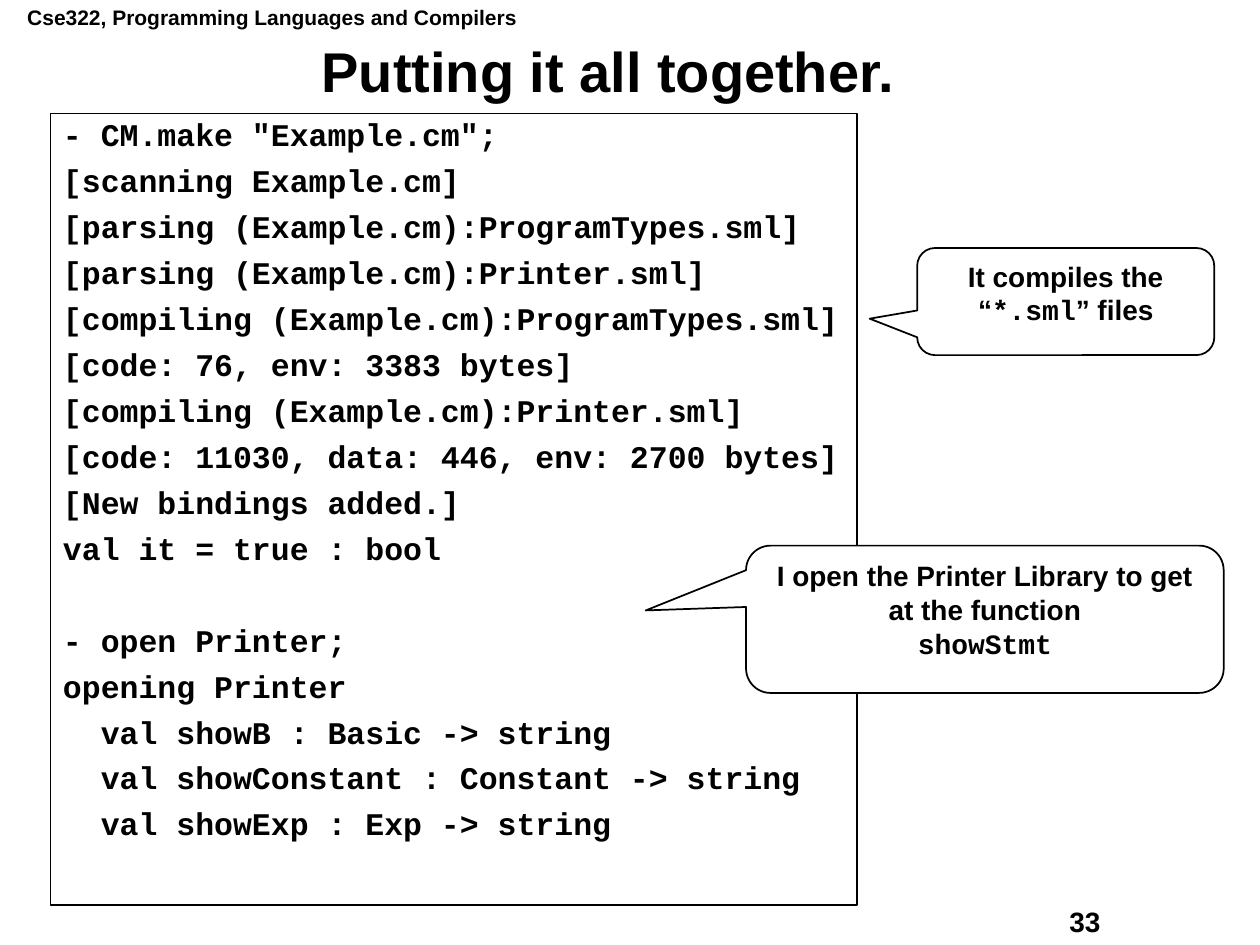
from pptx import Presentation
from pptx.dml.color import RGBColor
from pptx.enum.shapes import MSO_SHAPE as Shape
from pptx.enum.text import MSO_ANCHOR as Anchor, PP_ALIGN as Align
from pptx.util import Cm, Pt

# Content
HEAD = "Cse322, Programming Languages and Compilers"
TITLE = "Putting it all together."
PAGE = "33"
CODE = [
    [
        '- CM.make "Example.cm";',
        "[scanning Example.cm]",
        "[parsing (Example.cm):ProgramTypes.sml]",
        "[parsing (Example.cm):Printer.sml]",
        "[compiling (Example.cm):ProgramTypes.sml]",
        "[code: 76, env: 3383 bytes]",
        "[compiling (Example.cm):Printer.sml]",
        "[code: 11030, data: 446, env: 2700 bytes]",
        "[New bindings added.]",
        "val it = true : bool",
    ],
    [
        "- open Printer;",
        "opening Printer",
        "  val showB : Basic -> string",
        "  val showConstant : Constant -> string",
        "  val showExp : Exp -> string",
    ],
]
SANS, MONO = "Arial", "Courier New"
# Each note: place in cm, tail tip, paragraphs of (text, font) runs
NOTES = [
    ((18.49, 5, 5.99, 2.16), (-0.66, 0.16),
     [[("It compiles the “", SANS), ("*.sml", MONO), ("” files", SANS)]]),
    ((15.04, 11, 9.63, 2.97), (-0.71, -0.06),
     [[("I open the Printer Library to get at the function", SANS)],
      [("showStmt", MONO)]]),
]
COLORS = {"ink": "000000", "paper": "FFFFFF"}
GAP, PITCH = 6.8, 26.2  # code: space before a line, line to line (pt)


def color(name):
    return RGBColor.from_string(COLORS[name])


def style(font, size, face):
    font.size, font.name, font.bold = Pt(size), face, True
    font.color.rgb = color("ink")


def label(place, text, size, wrap=False):
    box = slide.shapes.add_textbox(*map(Cm, place))
    frame = box.text_frame
    frame.word_wrap = wrap
    frame.text = text
    style(frame.paragraphs[0].runs[0].font, size, SANS)
    return frame


def panel(kind, place):
    shape = slide.shapes.add_shape(kind, *map(Cm, place))
    shape.shadow.inherit = False
    shape.line.color.rgb = color("ink")
    shape.line.width = Pt(1)
    shape.text_frame.word_wrap = True
    shape.text_frame.vertical_anchor = Anchor.TOP
    return shape


def add_par(frame, first):
    return frame.paragraphs[0] if first else frame.add_paragraph()


deck = Presentation()
deck.slide_width, deck.slide_height = Cm(25.4), Cm(19.05)
slide = deck.slides.add_slide(deck.slide_layouts[6])

# Header, page number and title
label((0.3, -0.03, 10.39, 0.76), HEAD, 12)
label((21.31, 18.11, 3.23, 0.91), PAGE, 16)
title = label((0.79, 0.79, 22.94, 1.42), TITLE, 32, wrap=True)
title.vertical_anchor = Anchor.MIDDLE
title.paragraphs[0].alignment = Align.CENTER
title.paragraphs[0].line_spacing = 0.9

# Session listing, with a one-line gap between its blocks
board = panel(Shape.RECTANGLE, (1.02, 2.29, 16.26, 15.95))
board.fill.background()
for b, block in enumerate(CODE):
    for i, line in enumerate(block):
        par = add_par(board.text_frame, b == i == 0)
        par.text = line
        par.alignment = Align.LEFT
        par.line_spacing = 0.9
        if i:
            par.space_before = Pt(GAP)
        elif b:
            par.space_before = Pt(GAP + PITCH)
        style(par.runs[0].font, 18, MONO)

# Callouts
for place, tip, pars in NOTES:
    note = panel(Shape.ROUNDED_RECTANGULAR_CALLOUT, place)
    note.fill.solid()
    note.fill.fore_color.rgb = color("paper")
    note.adjustments[0], note.adjustments[1] = tip
    for i, runs in enumerate(pars):
        par = add_par(note.text_frame, i == 0)
        par.alignment = Align.CENTER
        for text, face in runs:
            run = par.add_run()
            run.text = text
            style(run.font, 16, face)

deck.save("out.pptx")
